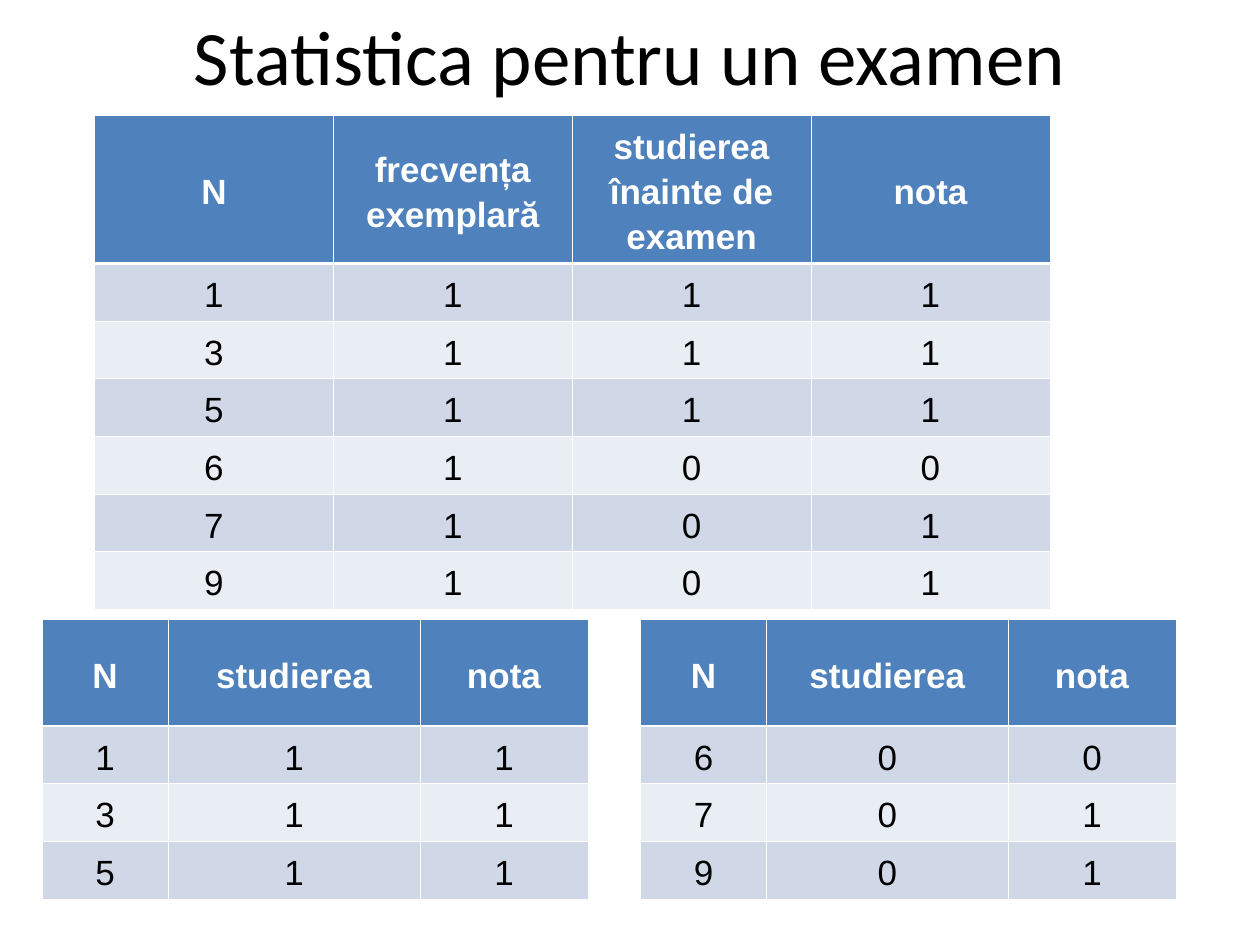
import pptx
import pptx.dml.color
import pptx.enum.text
import pptx.oxml
import pptx.oxml.ns
import pptx.util

Pt = pptx.util.Pt
COLORS = {
    "header": "4F81BD",
    "band_dark": "D0D8E8",
    "band_light": "E9EDF4",
    "white": "FFFFFF",
    "black": "000000",
}
THIN, THICK = 0.45, 1.47
LINE_HEIGHT = 25.7
CELL_MARGIN = 3.6
ROW_HEIGHT = LINE_HEIGHT + 2 * CELL_MARGIN

EXAM_HEADER = ["N", "frecvența exemplară", "studierea înainte de examen", "nota"]
EXAM_ROWS = [
    (1, 1, 1, 1),
    (3, 1, 1, 1),
    (5, 1, 1, 1),
    (6, 1, 0, 0),
    (7, 1, 0, 1),
    (9, 1, 0, 1),
]
SPLIT_HEADER = ["N", "studierea", "nota"]


def color(name):
    return pptx.dml.color.RGBColor.from_string(COLORS[name])


def write_text(text_frame, text, font="Arial", size=20, color_name="black",
               bold=False, line_height=None):
    text_frame.word_wrap = True
    paragraph = text_frame.paragraphs[0]
    paragraph.alignment = pptx.enum.text.PP_ALIGN.CENTER
    if line_height:
        paragraph.line_spacing = Pt(line_height)
    run = paragraph.add_run()
    run.text = text
    run.font.name = font
    run.font.size = Pt(size)
    run.font.bold = bold
    run.font.color.rgb = color(color_name)


class SlideBuilder:
    def __init__(self, slide):
        self.slide = slide

    def title(self, text, left, top, width, height):
        shape = self.slide.shapes.add_textbox(Pt(left), Pt(top), Pt(width), Pt(height))
        shape.text_frame.vertical_anchor = pptx.enum.text.MSO_ANCHOR.MIDDLE
        write_text(shape.text_frame, text, font="Calibri", size=44)

    def borders(self, cell, top, bottom):
        properties = cell._tc.get_or_add_tcPr()
        for side, width in (("L", THIN), ("R", THIN), ("T", top), ("B", bottom)):
            properties.append(pptx.oxml.parse_xml(
                f'<a:ln{side} {pptx.oxml.ns.nsdecls("a")} w="{Pt(width)}">'
                f'<a:solidFill><a:srgbClr val="{COLORS["white"]}"/></a:solidFill>'
                f'</a:ln{side}>'))

    def cell(self, cell, text, row):
        is_header = row == 0
        self.borders(cell, top=THICK if row == 1 else THIN,
                     bottom=THICK if is_header else THIN)
        cell.fill.solid()
        band = "band_dark" if row % 2 else "band_light"
        cell.fill.fore_color.rgb = color("header" if is_header else band)
        cell.vertical_anchor = pptx.enum.text.MSO_ANCHOR.MIDDLE
        cell.margin_left = cell.margin_right = Pt(5.4)
        cell.margin_top = cell.margin_bottom = Pt(CELL_MARGIN)
        write_text(cell.text_frame, str(text), bold=is_header,
                   color_name="white" if is_header else "black",
                   line_height=LINE_HEIGHT)

    def table(self, rows, left, top, column_widths, header_height):
        heights = [header_height] + [ROW_HEIGHT] * (len(rows) - 1)
        frame = self.slide.shapes.add_table(
            len(rows), len(column_widths), Pt(left), Pt(top),
            Pt(sum(column_widths)), Pt(sum(heights)))
        table = frame.table
        table.horz_banding = False
        for column, width in zip(table.columns, column_widths):
            column.width = Pt(width)
        for row, (values, height) in enumerate(zip(rows, heights)):
            table.rows[row].height = Pt(height)
            for column, value in enumerate(values):
                self.cell(table.cell(row, column), value, row)


def main():
    presentation = pptx.Presentation()
    presentation.slide_width, presentation.slide_height = Pt(720), Pt(540)
    builder = SlideBuilder(presentation.slides.add_slide(presentation.slide_layouts[6]))

    # Title
    builder.title("Statistica pentru un examen", 36, 0, 648, 62.6)

    # All exam results
    builder.table([EXAM_HEADER] + EXAM_ROWS, 54, 66.2, [136.5] * 4, 84.3)

    # Results split by whether the student studied
    for studied, left, middle_width in ((1, 24, 144), (0, 366, 138)):
        split = [(number, study, grade) for number, _, study, grade in EXAM_ROWS
                 if study == studied]
        builder.table([SPLIT_HEADER] + split, left, 354.2, [72, middle_width, 96], 60.8)

    presentation.save("out.pptx")


if __name__ == "__main__":
    main()
